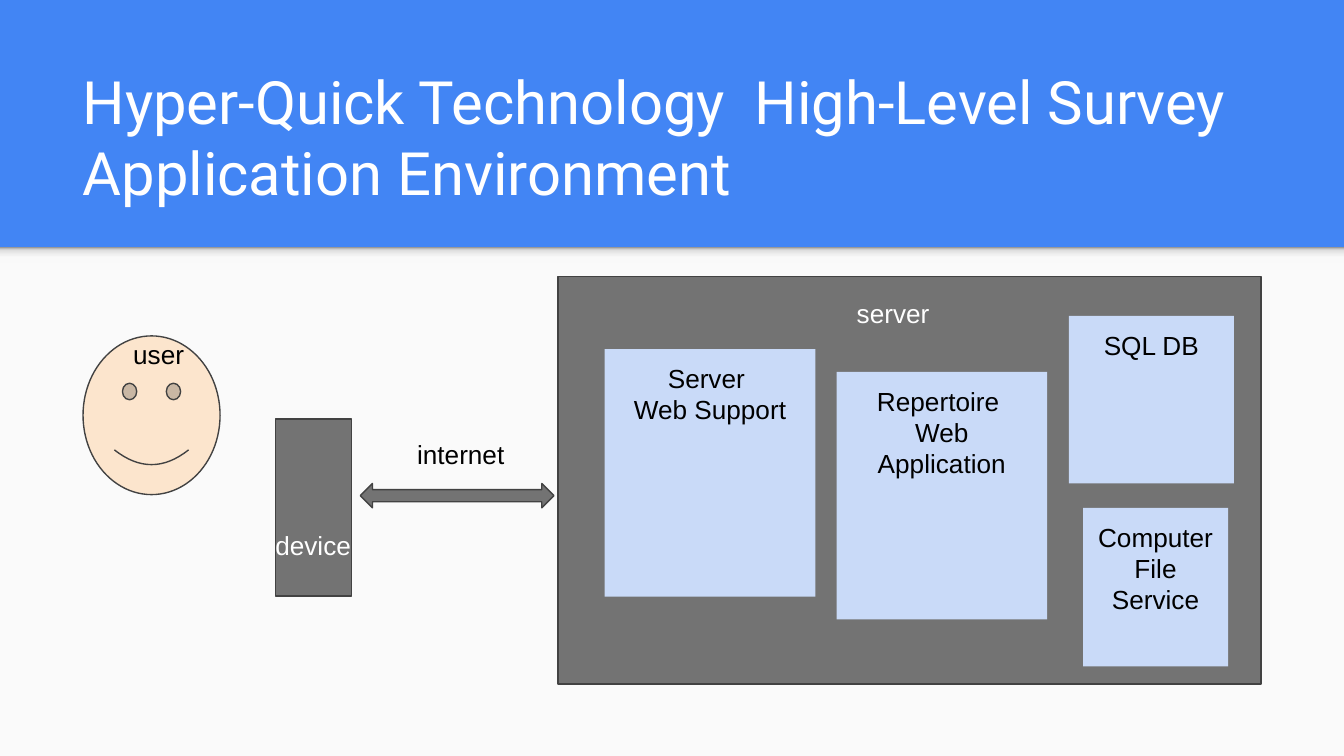
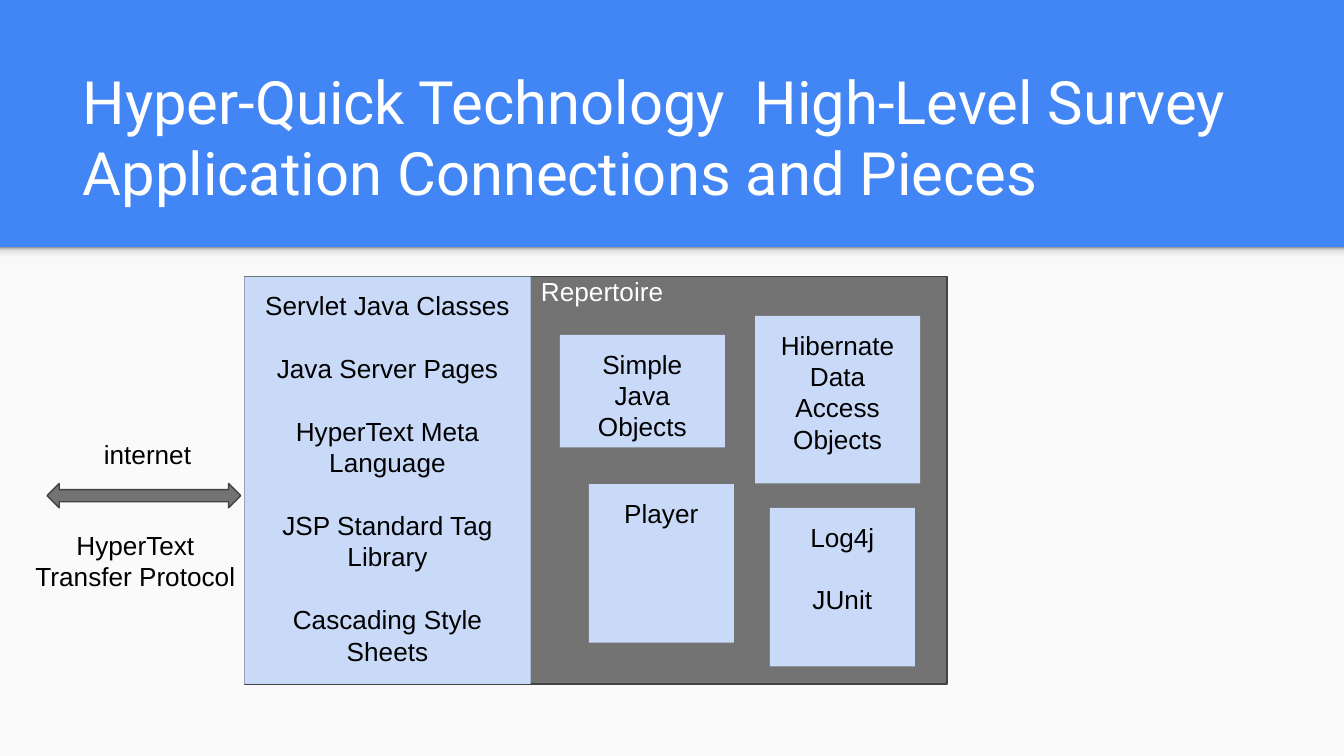
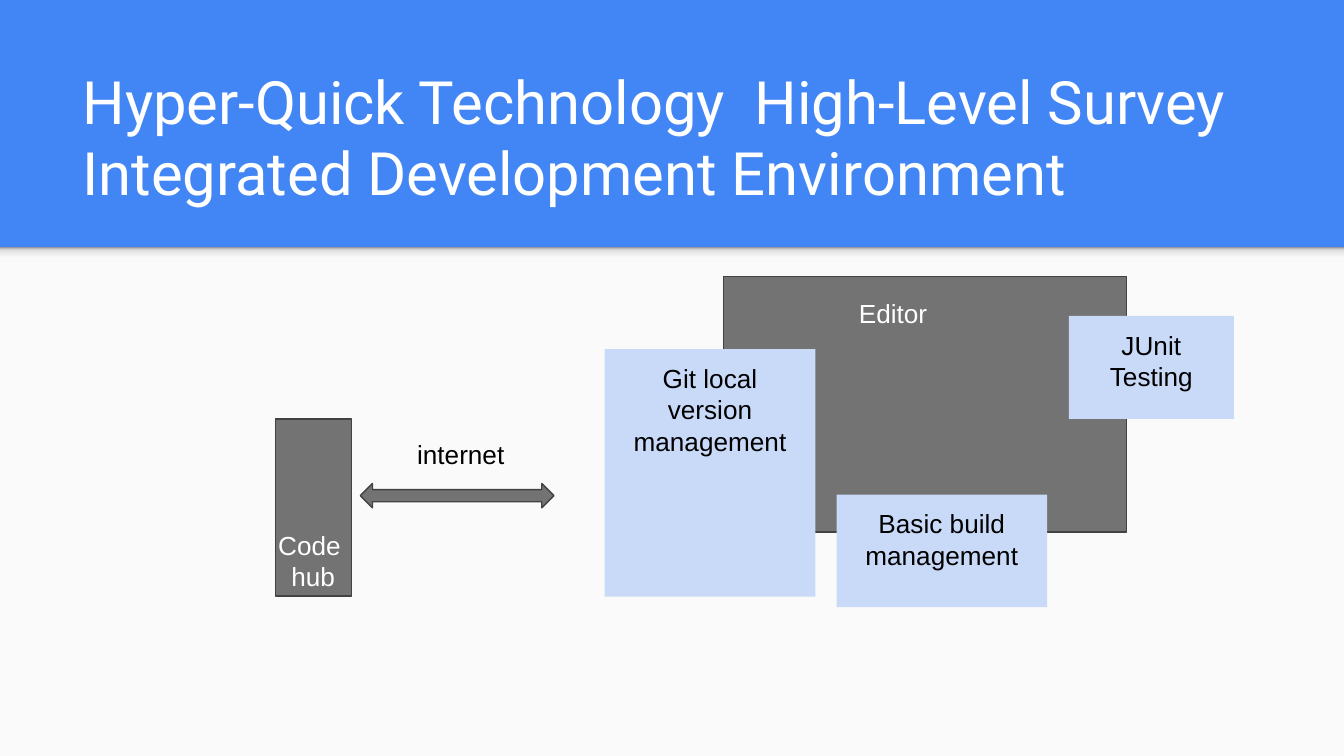
import copy

import pptx
import pptx.dml.color
import pptx.enum.shapes
import pptx.enum.text
import pptx.oxml.ns
import pptx.util

RGBColor = pptx.dml.color.RGBColor
Cm = pptx.util.Cm
Pt = pptx.util.Pt
Shape = pptx.enum.shapes.MSO_SHAPE
Align = pptx.enum.text.PP_ALIGN
Anchor = pptx.enum.text.MSO_ANCHOR
qn = pptx.oxml.ns.qn

BLUE = RGBColor(0x42, 0x85, 0xF4)
PAPER = RGBColor(0xFA, 0xFA, 0xFA)
WHITE = RGBColor(0xFF, 0xFF, 0xFF)
BLACK = RGBColor(0x00, 0x00, 0x00)
GRAY = RGBColor(0x73, 0x73, 0x73)
OUTLINE = RGBColor(0x42, 0x42, 0x42)
PALE_BLUE = RGBColor(0xC9, 0xDA, 0xF8)
SKIN = RGBColor(0xFC, 0xE5, 0xCD)
SHADE_LIGHT = RGBColor(0xF9, 0xF9, 0xF9)
SHADE_MIDDLE = RGBColor(0xDE, 0xDE, 0xDE)
SHADE_DARK = RGBColor(0x99, 0x99, 0x99)
SHADE_STOPS = [(0, SHADE_LIGHT), (0.36, SHADE_LIGHT), (0.8, SHADE_MIDDLE), (1, SHADE_DARK)]

SLIDE_WIDTH, SLIDE_HEIGHT = 25.4, 14.29
BAND_BOTTOM = 4.67
LABEL_SIZE = (4.62, 0.99)
PANEL_TOP = 5.23
PANEL_SIZE = (13.28, 7.7)
DEVICE = (5.21, 7.92, 1.43, 3.35)
ARROW_TOP, ARROW_SIZE = 9.14, (3.66, 0.46)
INTERNET_TOP, CAPTION_TOP = 8.03, 9.75
TALL_BOX = (3.98, 4.68)
SQUARE_BOX = (3.12, 3.17)
SMALL_BOX = (2.74, 3.0)
LOW_HEIGHT = 2.13
WEB_SERVER_LEFT, WEB_SERVER_TOP = 11.43, 6.6
RIGHT_BOX_TOP, FILE_BOX_TOP = 5.97, 9.6

SLIDES = [
    {
        "subject": "Application Environment",
        "outlined": [
            (Shape.SMILEY_FACE, SKIN, (1.57, 6.35, 2.59, 3.0)),
            (Shape.RECTANGLE, GRAY, DEVICE),
            (Shape.RECTANGLE, GRAY, (10.55, PANEL_TOP, *PANEL_SIZE)),
            (Shape.LEFT_RIGHT_ARROW, GRAY, (6.81, ARROW_TOP, *ARROW_SIZE)),
        ],
        "boxes": [
            ("Server \vWeb Support", (WEB_SERVER_LEFT, WEB_SERVER_TOP, *TALL_BOX)),
            ("Repertoire \vWeb Application", (15.81, 7.03, *TALL_BOX)),
            ("SQL DB", (20.2, RIGHT_BOX_TOP, *SQUARE_BOX)),
            ("Computer File Service", (20.47, FILE_BOX_TOP, *SMALL_BOX)),
        ],
        "labels": [
            ("server", WHITE, 14.57, 5.37),
            ("device", WHITE, 3.61, CAPTION_TOP),
            ("user", BLACK, 0.69, 6.15),
            ("internet", BLACK, 6.4, INTERNET_TOP),
        ],
    },
    {
        "subject": "Application Connections and Pieces",
        "outlined": [
            (Shape.RECTANGLE, GRAY, (4.62, PANEL_TOP, *PANEL_SIZE)),
            (Shape.LEFT_RIGHT_ARROW, GRAY, (0.89, ARROW_TOP, *ARROW_SIZE)),
        ],
        "boxes": [
            (
                "Servlet Java Classes\nJava Server Pages\nHyperText Meta Language\n"
                "JSP Standard Tag Library\nCascading Style Sheets",
                (4.62, PANEL_TOP, 5.41, 7.7),
            ),
            ("Simple Java Objects", (10.58, 6.33, 3.12, LOW_HEIGHT)),
            ("Hibernate Data Access Objects", (14.27, RIGHT_BOX_TOP, *SQUARE_BOX)),
            ("Log4j\nJUnit", (14.55, FILE_BOX_TOP, *SMALL_BOX)),
            ("Player", (11.13, 9.15, *SMALL_BOX)),
        ],
        "labels": [
            ("Repertoire", WHITE, 9.07, 4.95),
            ("internet", BLACK, 0.48, INTERNET_TOP),
            ("HyperText Transfer Protocol", BLACK, 0.25, CAPTION_TOP),
        ],
    },
    {
        "subject": "Integrated Development Environment",
        "outlined": [
            (Shape.RECTANGLE, GRAY, DEVICE),
            (Shape.RECTANGLE, GRAY, (13.67, PANEL_TOP, 7.62, 4.83)),
            (Shape.LEFT_RIGHT_ARROW, GRAY, (6.81, ARROW_TOP, *ARROW_SIZE)),
        ],
        "boxes": [
            ("Git local version management", (WEB_SERVER_LEFT, WEB_SERVER_TOP, *TALL_BOX)),
            ("Basic build management", (15.81, 9.35, 3.98, LOW_HEIGHT)),
            ("JUnit Testing", (20.2, RIGHT_BOX_TOP, 3.12, 1.95)),
        ],
        "labels": [
            ("Editor", WHITE, 14.57, 5.37),
            ("Code \vhub", WHITE, 3.61, CAPTION_TOP),
            ("internet", BLACK, 6.4, INTERNET_TOP),
        ],
    },
]


def add_block(slide, kind, color, place):
    shape = slide.shapes.add_shape(kind, *map(Cm, place))
    shape.shadow.inherit = False
    shape.fill.solid()
    shape.fill.fore_color.rgb = color
    shape.line.fill.background()
    return shape


def write_text(shape, text, color, size=14, font="Arial", align=Align.CENTER, anchor=Anchor.TOP):
    frame = shape.text_frame
    frame.word_wrap = True
    frame.vertical_anchor = anchor
    frame.margin_left = frame.margin_right = Cm(0.25)
    frame.margin_top = frame.margin_bottom = Cm(0.25)
    frame.text = text
    for index, paragraph in enumerate(frame.paragraphs):
        paragraph.alignment = align
        if index:
            paragraph.space_before = Pt(16.8)
        for run in paragraph.runs:
            run.font.size = Pt(size)
            run.font.name = font
            run.font.color.rgb = color
        for line_break in paragraph._p.findall(qn("a:br")):
            line_break.insert(0, copy.deepcopy(paragraph.runs[0]._r.rPr))


presentation = pptx.Presentation()
presentation.slide_width = Cm(SLIDE_WIDTH)
presentation.slide_height = Cm(SLIDE_HEIGHT)

for content in SLIDES:
    slide = presentation.slides.add_slide(presentation.slide_layouts[6])
    slide.background.fill.solid()
    slide.background.fill.fore_color.rgb = BLUE

    body = (0, BAND_BOTTOM, SLIDE_WIDTH, SLIDE_HEIGHT - BAND_BOTTOM)
    add_block(slide, Shape.RECTANGLE, PAPER, body)
    shade = add_block(slide, Shape.RECTANGLE, PAPER, (0, BAND_BOTTOM, SLIDE_WIDTH, 0.3))
    shade.fill.gradient()
    shade.fill.gradient_angle = 90
    stop_list = shade._element.spPr.find(".//" + qn("a:gsLst"))
    while len(stop_list) < len(SHADE_STOPS):
        stop_list.append(copy.deepcopy(stop_list[0]))
    for stop, (position, color) in zip(shade.fill.gradient_stops, SHADE_STOPS):
        stop.position = position
        stop.color.rgb = color

    title = slide.shapes.add_textbox(Cm(1.31), Cm(2.05), Cm(22.83), Cm(2.13))
    heading = "Hyper-Quick Technology  High-Level Survey\v" + content["subject"]
    write_text(title, heading, WHITE, 32, "Roboto", Align.LEFT, Anchor.BOTTOM)

    for kind, color, place in content["outlined"]:
        shape = add_block(slide, kind, color, place)
        shape.line.color.rgb = OUTLINE
        shape.line.width = Pt(0.75)

    for text, place in content["boxes"]:
        write_text(add_block(slide, Shape.RECTANGLE, PALE_BLUE, place), text, BLACK)

    for text, color, left, top in content["labels"]:
        label = slide.shapes.add_textbox(*map(Cm, (left, top, *LABEL_SIZE)))
        write_text(label, text, color)

presentation.save("out.pptx")
